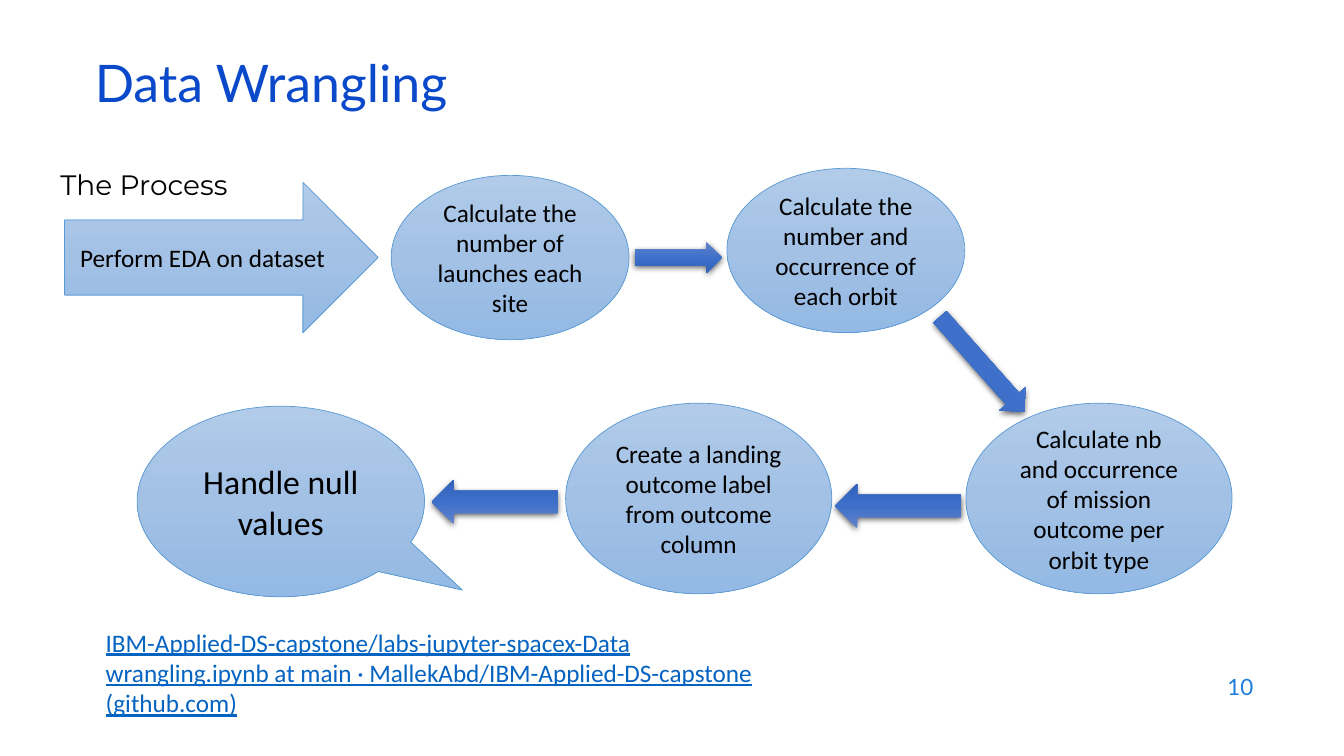
from lxml import etree
from pptx import Presentation
from pptx import util as u
from pptx.dml.color import RGBColor
from pptx.enum import shapes, text
from pptx.oxml import ns

ALIGN = text.PP_ALIGN
SHAPE = shapes.MSO_SHAPE


def color(hex_value):
    return RGBColor.from_string(hex_value)


def add_element(parent, tag, **attributes):
    return etree.SubElement(parent, ns.qn(tag), attributes)


class ProcessSlide:
    """Holds the style and the current slide."""

    LIGHT_BLUE = ("B1CBE9", "A3C1E5", "93B9E4")
    DARK_BLUE = ("6183CB", "3E70CA", "3062BB")
    OUTLINE = "5B9BD5"

    def __init__(self, presentation):
        self.slide = presentation.slides.add_slide(presentation.slide_layouts[5])

    def set_text(self, shape, words, size, font="Calibri", ink="000000",
                 frame=None, paragraph=None, **font_format):
        shape.text_frame.text = words
        first = shape.text_frame.paragraphs[0]
        formats = (
            (shape.text_frame, {"word_wrap": True, **(frame or {})}),
            (first, paragraph or {}),
            (first.font, {"name": font, "size": u.Pt(size), **font_format}),
        )
        for target, values in formats:
            for name, value in values.items():
                setattr(target, name, value)
        first.font.color.rgb = color(ink)

    def title(self, words, box, **style):
        shape = self.slide.shapes.title
        for name, value in zip(("left", "top", "width", "height"), box):
            setattr(shape, name, u.Inches(value))
        self.set_text(shape, words, **style)

    def label(self, words, box, **style):
        shape = self.slide.shapes.add_textbox(*map(u.Inches, box))
        self.set_text(shape, words, **style)

    def gradient_shape(self, kind, box, stops):
        shape = self.slide.shapes.add_shape(kind, *map(u.Inches, box))
        shape.shadow.inherit = False
        gradient = etree.Element(ns.qn("a:gradFill"), rotWithShape="1")
        stop_list = add_element(gradient, "a:gsLst")
        for index, stop in enumerate(stops):
            position = add_element(stop_list, "a:gs", pos=str(index * 50000))
            add_element(position, "a:srgbClr", val=stop)
        add_element(gradient, "a:lin", ang="5400000", scaled="0")
        shape._element.spPr.find(ns.qn("a:prstGeom")).addnext(gradient)
        return shape

    def step(self, words, kind, box, size=18, adjustments=()):
        shape = self.gradient_shape(kind, box, self.LIGHT_BLUE)
        shape.line.color.rgb = color(self.OUTLINE)
        shape.line.width = u.Pt(0.5)
        for index, value in enumerate(adjustments):
            shape.adjustments[index] = value
        self.set_text(shape, words, size,
                      frame={"vertical_anchor": text.MSO_ANCHOR.MIDDLE},
                      paragraph={"alignment": ALIGN.CENTER})

    def arrow(self, box, rotation=0):
        shape = self.gradient_shape(SHAPE.RIGHT_ARROW, box, self.DARK_BLUE)
        shape.line.fill.background()
        shape.rotation = rotation
        effects = shape._element.spPr.find(ns.qn("a:effectLst"))
        shadow = add_element(effects, "a:outerShdw", blurRad=str(u.Pt(4.5)),
                             dist=str(u.Pt(1.5)), dir="5400000",
                             algn="ctr", rotWithShape="0")
        black = add_element(shadow, "a:srgbClr", val="000000")
        add_element(black, "a:alpha", val="63000")


def main():
    presentation = Presentation()
    presentation.slide_width = u.Inches(13.33)
    presentation.slide_height = u.Inches(7.5)
    page = ProcessSlide(presentation)
    middle = {"vertical_anchor": text.MSO_ANCHOR.MIDDLE}
    grow = {"auto_size": text.MSO_AUTO_SIZE.SHAPE_TO_FIT_TEXT}

    # Title, page number and heading
    page.title("Data Wrangling", (0.84, 0.59, 11.5, 0.6), size=37,
               font="Lato", ink="0B49CB",
               frame={**middle, "auto_size": text.MSO_AUTO_SIZE.NONE},
               paragraph={"alignment": ALIGN.LEFT, "line_spacing": 0.7})
    page.label("10", (9.53, 6.59, 3, 0.44), size=16, font="Lato",
               ink="1C7DDB", frame=middle,
               paragraph={"alignment": ALIGN.RIGHT})
    page.label("The Process", (0.5, 1.61, 4.33, 0.44), size=20,
               font="Montserrat", frame=grow)

    # Process steps
    page.step("Perform EDA on dataset", SHAPE.RIGHT_ARROW,
              (0.64, 1.81, 3.11, 1.49))
    small, large = (2.36, 1.63), (2.64, 1.89)
    for words, position, size in (
        ("Calculate the number of launches each site", (3.88, 1.74), small),
        ("Calculate the number and occurrence of each orbit",
         (7.21, 1.67), small),
        ("Calculate nb and occurrence of mission outcome per orbit type",
         (9.58, 4), large),
        ("Create a landing outcome label from outcome column",
         (5.61, 4), large),
    ):
        page.step(words, SHAPE.OVAL, position + size)
    page.step("Handle null values", SHAPE.OVAL_CALLOUT,
              (1.36, 4.03, 2.85, 1.89), size=24, adjustments=(0.632, 0.465))

    # Arrows between the steps
    page.arrow((6.3, 2.4, 0.86, 0.31))
    page.arrow((9.11, 3.44, 1.26, 0.35), rotation=48.4)
    page.arrow((8.28, 4.8, 1.25, 0.44), rotation=180)
    page.arrow((4.28, 4.76, 1.25, 0.44), rotation=180)

    # Notebook reference
    page.label("IBM-Applied-DS-capstone/labs-jupyter-spacex-Data "
               "wrangling.ipynb at main · MallekAbd/IBM-Applied-DS-capstone "
               "(github.com)", (0.95, 6.17, 6.67, 1.01), size=18,
               ink="0563C1", frame=grow, underline=True)

    presentation.save("out.pptx")


if __name__ == "__main__":
    main()
